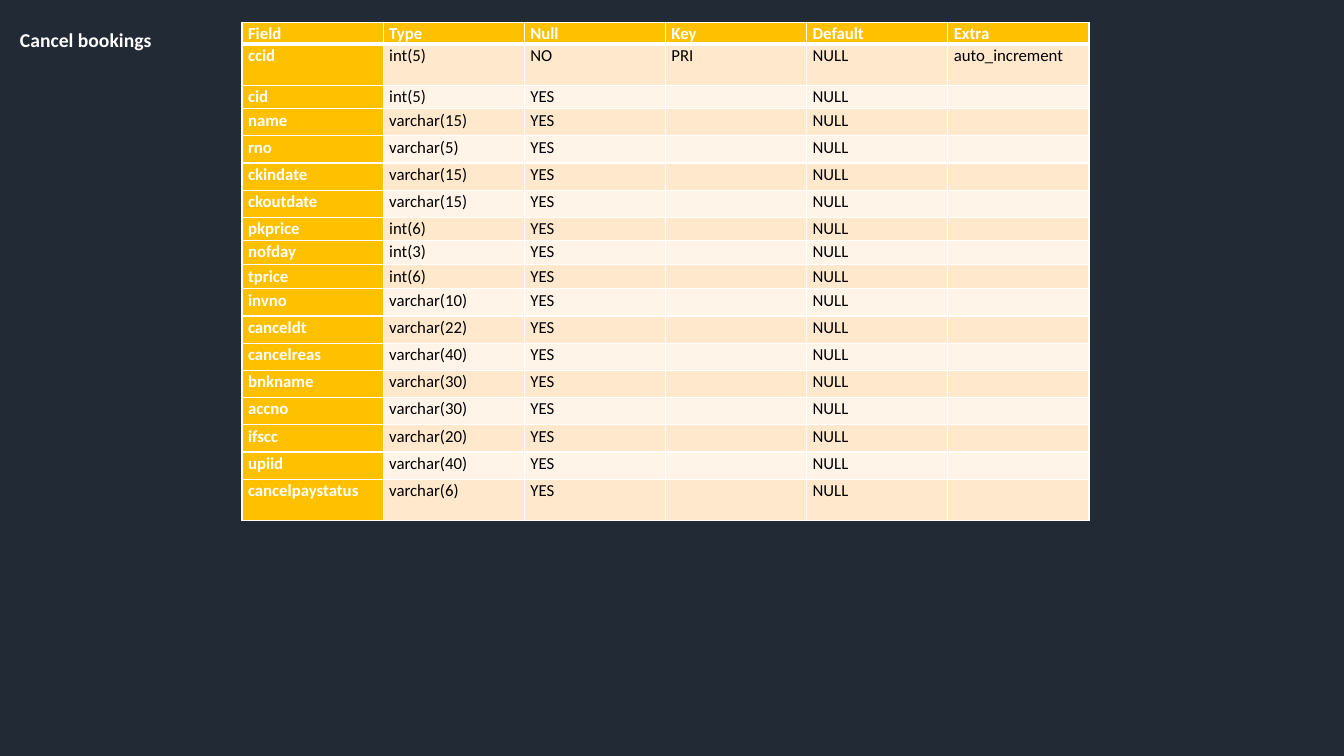
from lxml import etree
from pptx import Presentation
from pptx.dml.color import RGBColor
from pptx.enum import text as t
from pptx.oxml import ns
from pptx.util import Inches, Pt

COLORS = {
    "background": "222A35",
    "gold": "FFC000",
    "band_dark": "FFE8CC",
    "band_light": "FFF4E7",
    "white": "FFFFFF",
    "black": "000000",
}
FONT = "Calibri"
COLUMN_WIDTH = 1.4
HEADINGS = ["Field", "Type", "Null", "Key", "Default", "Extra"]
HEADING_HEIGHT = 0.2
# Field name, type and row height
FIELDS = [
    ("ccid", "int(5)", 0.41),
    ("cid", "int(5)", 0.23),
    ("name", "varchar(15)", 0.27),
    ("rno", "varchar(5)", 0.27),
    ("ckindate", "varchar(15)", 0.27),
    ("ckoutdate", "varchar(15)", 0.27),
    ("pkprice", "int(6)", 0.23),
    ("nofday", "int(3)", 0.24),
    ("tprice", "int(6)", 0.24),
    ("invno", "varchar(10)", 0.27),
    ("canceldt", "varchar(22)", 0.27),
    ("cancelreas", "varchar(40)", 0.27),
    ("bnkname", "varchar(30)", 0.27),
    ("accno", "varchar(30)", 0.27),
    ("ifscc", "varchar(20)", 0.27),
    ("upiid", "varchar(40)", 0.27),
    ("cancelpaystatus", "varchar(6)", 0.41),
]


def rgb(name):
    return RGBColor.from_string(COLORS[name])


def write(frame, content, size=12, color="black", bold=False, line_spacing=None, after=None):
    para = frame.paragraphs[0]
    para.line_spacing = line_spacing
    if after is not None:
        para.space_after = Pt(after)
    if not content:
        # An empty cell still takes its line height from the end-of-paragraph size
        etree.SubElement(para._p, ns.qn("a:endParaRPr"), sz=str(size * 100))
        return
    span = para.add_run()
    span.text = content
    span.font.name = FONT
    span.font.size = Pt(size)
    span.font.bold = bold
    span.font.color.rgb = rgb(color)


def set_borders(cell, **widths):
    """Draw white borders; widths are points keyed by side (L, R, T, B)."""
    properties = cell._tc.get_or_add_tcPr()
    for side in "LRTB":
        width = Pt(widths.get(side, 1))
        line = etree.SubElement(properties, ns.qn(f"a:ln{side}"), w=str(width))
        fill = etree.SubElement(line, ns.qn("a:solidFill"))
        etree.SubElement(fill, ns.qn("a:srgbClr"), val=COLORS["white"])


def fill_cell(cell, content, fill, borders, **text_format):
    cell.margin_left = cell.margin_right = Inches(0.06)
    cell.margin_top = cell.margin_bottom = 0
    set_borders(cell, **borders)
    cell.fill.solid()
    cell.fill.fore_color.rgb = rgb(fill)
    write(cell.text_frame, content, line_spacing=1.07, **text_format)


def field_rows():
    for index, (name, kind, _) in enumerate(FIELDS):
        if index == 0:
            yield [name, kind, "NO", "PRI", "NULL", "auto_increment"]
        else:
            yield [name, kind, "YES", "", "NULL", ""]


def add_field_table(page, left, top):
    rows = [HEADINGS, *field_rows()]
    heights = [HEADING_HEIGHT] + [height for _, _, height in FIELDS]
    table = page.shapes.add_table(
        len(rows), len(HEADINGS), Inches(left), Inches(top),
        Inches(COLUMN_WIDTH * len(HEADINGS)), Inches(sum(heights))).table
    table.first_row = table.horz_banding = False
    for column in table.columns:
        column.width = Inches(COLUMN_WIDTH)
    for r, (values, height) in enumerate(zip(rows, heights)):
        table.rows[r].height = Inches(height)
        band = "band_dark" if r % 2 else "band_light"
        borders = {0: {"B": 3}, 1: {"T": 3}}.get(r, {})
        for c, value in enumerate(values):
            is_label = r == 0 or c == 0
            fill_cell(table.cell(r, c), value, "gold" if is_label else band, borders,
                      color="white" if is_label else "black", bold=is_label,
                      after=9 if r else 8)


def add_title(page, content, left, top, width, height):
    box = page.shapes.add_textbox(Inches(left), Inches(top), Inches(width), Inches(height))
    frame = box.text_frame
    frame.word_wrap = True
    frame.auto_size = t.MSO_AUTO_SIZE.SHAPE_TO_FIT_TEXT
    frame.vertical_anchor = t.MSO_ANCHOR.MIDDLE
    write(frame, content, size=14, color="white", bold=True)


def main():
    deck = Presentation()
    deck.slide_width, deck.slide_height = Inches(13.33), Inches(7.5)
    page = deck.slides.add_slide(deck.slide_layouts[6])
    page.background.fill.solid()
    page.background.fill.fore_color.rgb = rgb("background")
    add_field_table(page, 2.4, 0.22)
    add_title(page, "Cancel bookings", 0.1, 0.22, 2.03, 0.34)
    deck.save("out.pptx")


if __name__ == "__main__":
    main()
